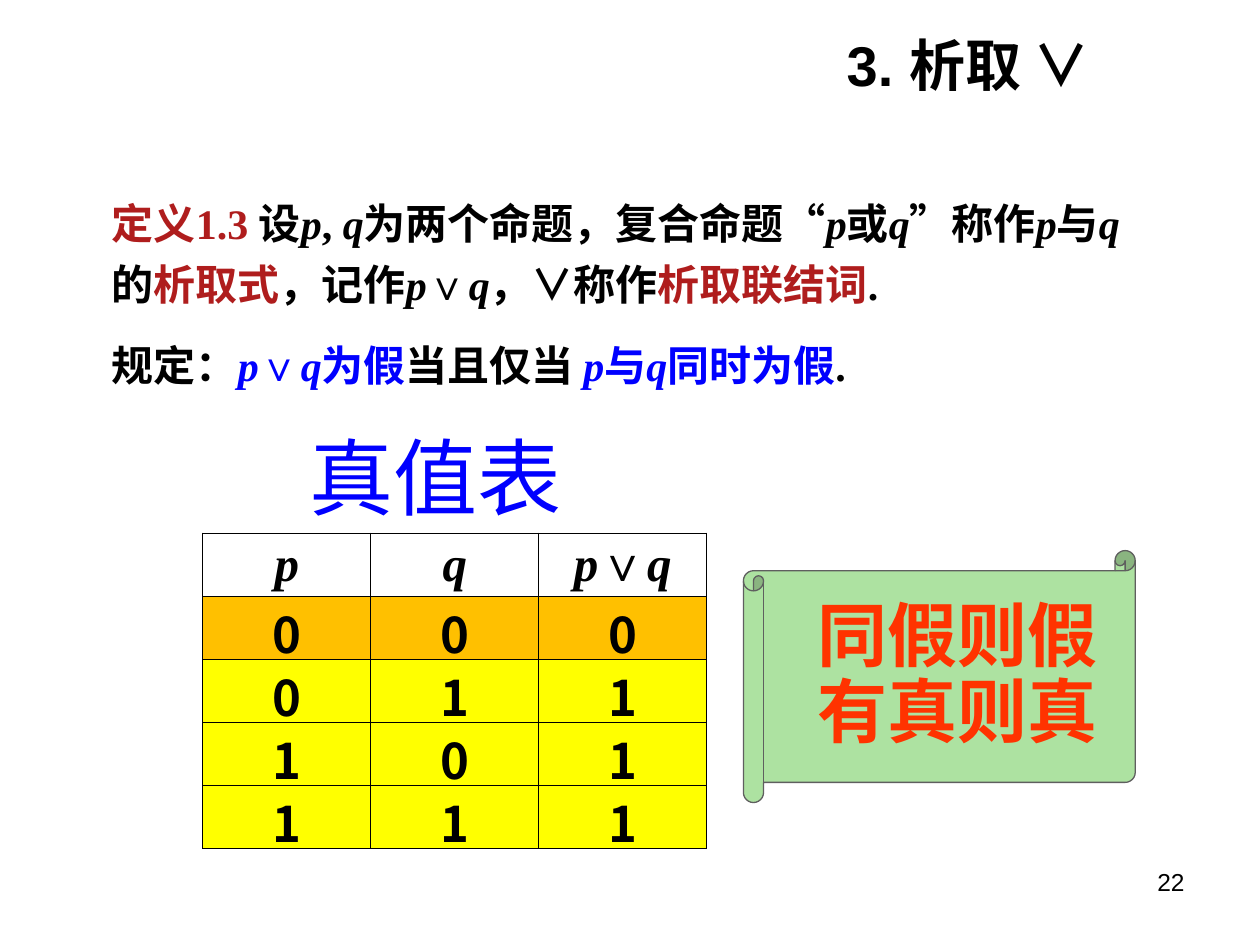
import dataclasses
import itertools

import pptx
import pptx.dml.color
import pptx.enum.shapes
import pptx.enum.text
import pptx.oxml
import pptx.oxml.ns
import pptx.util
from pptx.util import Inches

ALIGN = pptx.enum.text.PP_ALIGN
ANCHOR = pptx.enum.text.MSO_ANCHOR
SERIF, SANS, HAN = "Times New Roman", "Arial", "Noto Sans CJK SC"
COLORS = {
    "black": "000000", "white": "FFFFFF", "blue": "0000FF", "red": "AF1D1D",
    "flame": "FF3300", "gold": "FFC000", "yellow": "FFFF00",
    "green": "ADE2A1", "gray": "5F5F5F",
}


@dataclasses.dataclass
class Span:
    text: str
    color: str = "black"
    font: str = SERIF


@dataclasses.dataclass
class Box:
    left: float
    top: float
    width: float
    height: float

    def place(self) -> tuple:
        return tuple(map(Inches, dataclasses.astuple(self)))


def rgb(name: str) -> pptx.dml.color.RGBColor:
    return pptx.dml.color.RGBColor.from_string(COLORS[name])


def write(frame, lines: list[list[Span]], *, size: float, bold: bool = True,
          align=ALIGN.LEFT, spacing: float = 1.0, before: float = 0,
          indent: float = 0) -> None:
    """Fill a frame with one paragraph per line; the variables p and q turn italic."""
    for index, spans in enumerate(lines):
        para = frame.paragraphs[0] if index == 0 else frame.add_paragraph()
        para.alignment = align
        para.line_spacing = spacing
        if index:
            para.space_before = pptx.util.Pt(before)
        if indent:
            para._p.get_or_add_pPr().set("marL", str(Inches(indent)))
        for span in spans:
            for slant, chars in itertools.groupby(span.text, lambda char: char in "pq"):
                run = para.add_run()
                run.text = "".join(chars)
                font = run.font
                font.size = pptx.util.Pt(size)
                font.bold, font.italic = bold, slant
                font.color.rgb = rgb(span.color)
                font.name = span.font
                east = pptx.oxml.parse_xml(
                    f'<a:ea {pptx.oxml.ns.nsdecls("a")} typeface="{HAN}"/>')
                run._r.get_or_add_rPr().append(east)


def add_text(slide, box: Box, lines: list[list[Span]], *,
             anchor=ANCHOR.TOP, **style) -> None:
    frame = slide.shapes.add_textbox(*box.place()).text_frame
    frame.word_wrap = True
    frame.vertical_anchor = anchor
    write(frame, lines, **style)


def add_scroll(slide, box: Box, lines: list[str]) -> None:
    kind = pptx.enum.shapes.MSO_SHAPE.HORIZONTAL_SCROLL
    shape = slide.shapes.add_shape(kind, *box.place())
    shape.shadow.inherit = False
    shape.adjustments[0] = 0.08
    shape.fill.solid()
    shape.fill.fore_color.rgb = rgb("green")
    shape.line.color.rgb = rgb("gray")
    shape.line.width = pptx.util.Pt(0.75)
    frame = shape.text_frame
    frame.word_wrap = False
    frame.vertical_anchor = ANCHOR.MIDDLE
    write(frame, [[Span(line, "flame")] for line in lines], size=40,
          align=ALIGN.CENTER, spacing=0.9, indent=0.21)


def add_edges(cell) -> None:
    """Draw a thin black line on all four sides of a cell."""
    props = cell._tc.get_or_add_tcPr()
    for index, side in enumerate("LRTB"):
        edge = pptx.oxml.parse_xml(
            f'<a:ln{side} {pptx.oxml.ns.nsdecls("a")} w="{pptx.util.Pt(0.5)}">'
            f'<a:solidFill><a:srgbClr val="{COLORS["black"]}"/></a:solidFill>'
            f'</a:ln{side}>')
        props.insert(index, edge)


def add_table(slide, box: Box, rows: list[list[str]], fills: list[str]) -> None:
    table = slide.shapes.add_table(len(rows), len(rows[0]), *box.place()).table
    for index, (texts, fill) in enumerate(zip(rows, fills)):
        font = HAN if index else SERIF
        for col, text in enumerate(texts):
            cell = table.cell(index, col)
            cell.fill.solid()
            cell.fill.fore_color.rgb = rgb(fill)
            cell.vertical_anchor = ANCHOR.MIDDLE
            cell.margin_left = cell.margin_right = cell.margin_top = Inches(0.01)
            cell.margin_bottom = 0
            add_edges(cell)
            write(cell.text_frame, [[Span(text, font=font)]], size=28,
                  align=ALIGN.CENTER)


def main() -> None:
    deck = pptx.Presentation()
    deck.slide_width, deck.slide_height = Inches(10), Inches(7.5)
    slide = deck.slides.add_slide(deck.slide_layouts[6])

    add_text(slide, Box(2.16, 0.28, 6.69, 0.46),
             [[Span("3. 析取 ", font=SANS), Span("∨ ")]],
             size=32, align=ALIGN.RIGHT, anchor=ANCHOR.MIDDLE)
    add_scroll(slide, Box(5.9, 4.37, 3.11, 2), ["同假则假", "有真则真"])

    pairs = itertools.product((0, 1), repeat=2)
    truth = [[str(p), str(q), str(p | q)] for p, q in pairs]
    add_table(slide, Box(1.61, 4.23, 4, 2.5), [["p", "q", "p∨q"], *truth],
              ["white", "gold"] + ["yellow"] * 3)
    add_text(slide, Box(2, 3.33, 2.92, 0.9), [[Span("真值表", "blue")]],
             size=48, bold=False, align=ALIGN.CENTER)
    add_text(slide, Box(7.17, 6.83, 2.33, 0.52), [[Span("22", font=SANS)]],
             size=14, bold=False, align=ALIGN.RIGHT)

    meaning = [
        Span("定义1.3 ", "red"),
        Span("设p, q为两个命题，复合命题“p或q”称作p与q的"),
        Span("析取式", "red"), Span("，记作p∨q，∨称作"),
        Span("析取联结词", "red"), Span("."),
    ]
    rule = [
        Span("规定："), Span("p∨q为假", "blue"), Span("当且仅当 "),
        Span("p与q同时为假", "blue"), Span("."),
    ]
    add_text(slide, Box(0.79, 1.44, 8.43, 1.71), [meaning, rule],
             size=24, spacing=1.2, before=12)
    deck.save("out.pptx")


if __name__ == "__main__":
    main()
